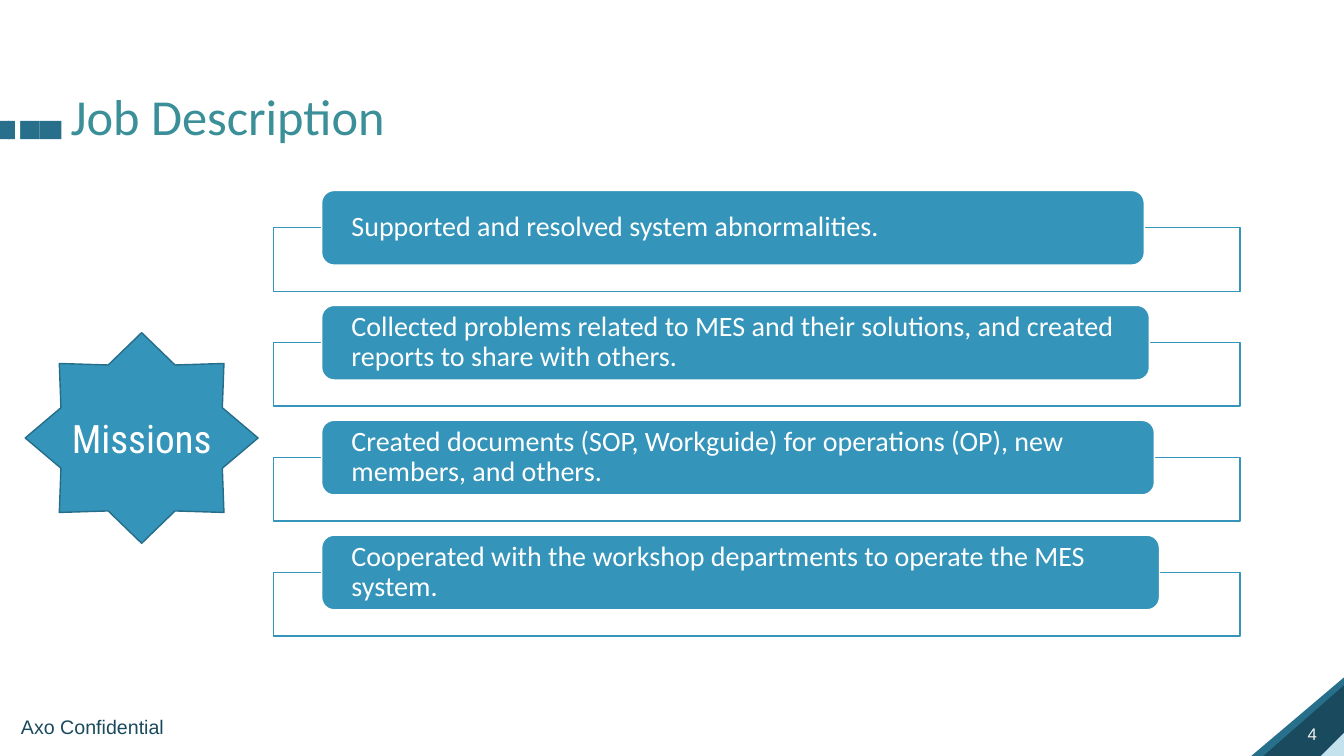
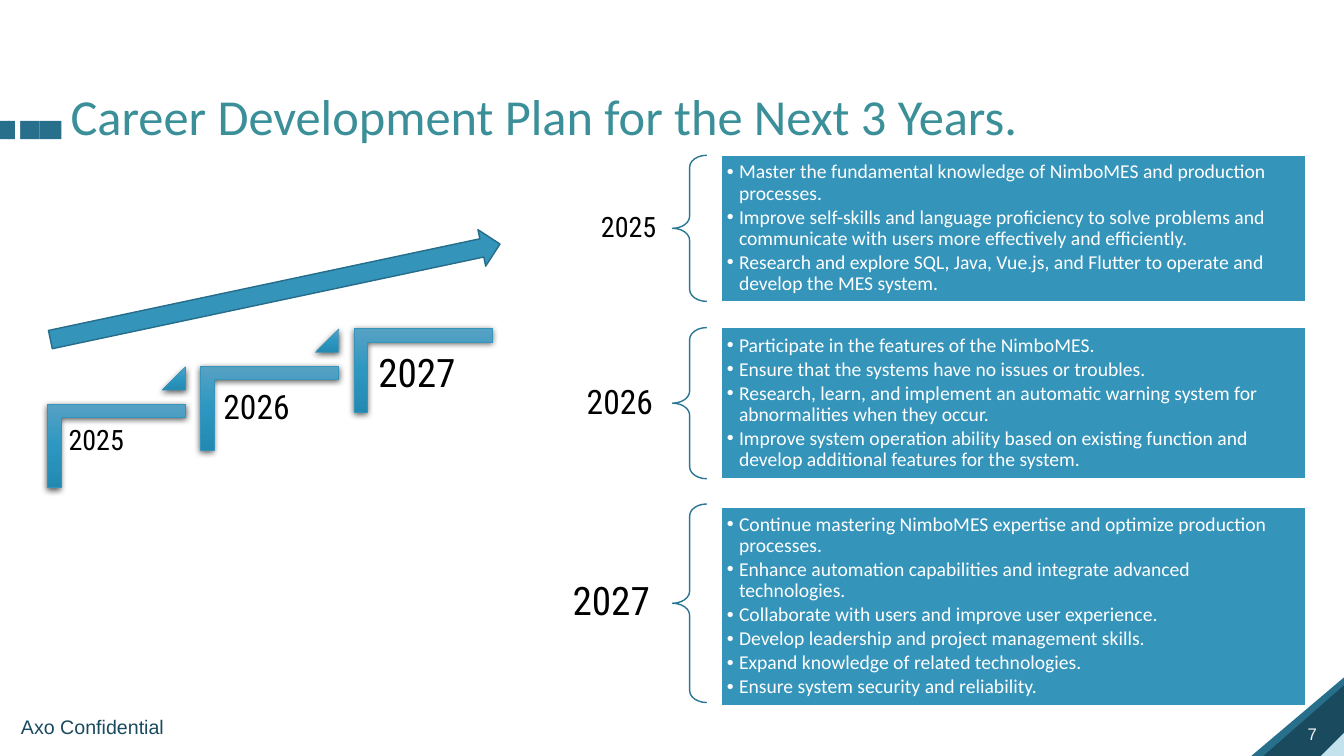
from dataclasses import dataclass

from lxml.etree import SubElement
from pptx import Presentation
from pptx.dml.color import RGBColor
from pptx.enum.shapes import MSO_SHAPE
from pptx.enum.text import MSO_ANCHOR, MSO_AUTO_SIZE, PP_ALIGN
from pptx.oxml.ns import qn
from pptx.util import Inches, Pt


@dataclass(frozen=True)
class Theme:
    title: str = "3A8F98"
    accent: str = "3494BA"
    outline: str = "266D8A"
    brace: str = "2A7795"
    band: str = "276F8B"
    dark: str = "1A4A5D"
    pale: str = "C4E2EE"
    white: str = "FFFFFF"
    black: str = "000000"
    number: str = "F2F2F2"
    gradient: tuple = ((0, "56A1C4"), (50, "2D97C1"), (100, "2289B1"))
    body_font: str = "Calibri"
    label_font: str = "Roboto Condensed"
    footer_font: str = "Arial"
    title_size: int = 36
    mission_size: int = 20
    star_size: int = 28
    bullet_size: int = 14
    footer_size: int = 14
    number_size: int = 12
    year_sizes: tuple = (20, 24, 28)


T = Theme()

MISSIONS = (
    "Supported and resolved system abnormalities.",
    "Collected problems related to MES and their solutions, and created reports to share with others.",
    "Created documents (SOP, Workguide) for operations (OP), new members, and others.",
    "Cooperated with the workshop departments to operate the MES system.",
)

PLAN = (
    ("2025", 1.54, 1.54, 1.45, (
        "Master the fundamental knowledge of NimboMES and production processes.",
        "Improve self-skills and language proficiency to solve problems and communicate with users more effectively and efficiently.",
        "Research and explore SQL, Java, Vue.js, and Flutter to operate and develop the MES system.",
    )),
    ("2026", 3.25, 3.25, 1.5, (
        "Participate in the features of the NimboMES.",
        "Ensure that the systems have no issues or troubles.",
        "Research, learn, and implement an automatic warning system for abnormalities when they occur.",
        "Improve system operation ability based on existing function and develop additional features for the system.",
    )),
    ("2027", 5.0, 5.03, 1.97, (
        "Continue mastering NimboMES expertise and optimize production processes.",
        "Enhance automation capabilities and integrate advanced technologies.",
        "Collaborate with users and improve user experience.",
        "Develop leadership and project management skills.",
        "Expand knowledge of related technologies.",
        "Ensure system security and reliability.",
    )),
)


def apply(obj, **values):
    for name, value in values.items():
        setattr(obj, name, value)


def add_shape(s, kind, box, fill=None, line=None, width=1, rotation=0, adj=()):
    sp = s.shapes.add_shape(kind, *map(Inches, box))
    sp.shadow.inherit = False
    sp.rotation = rotation
    for i, value in enumerate(adj):
        sp.adjustments[i] = value
    if fill:
        sp.fill.solid()
        sp.fill.fore_color.rgb = RGBColor.from_string(fill)
    else:
        sp.fill.background()
    if line:
        sp.line.color.rgb = RGBColor.from_string(line)
        sp.line.width = Pt(width)
    else:
        sp.line.fill.background()
    return sp


def set_text(sp, lines, size, font, color, align=PP_ALIGN.LEFT, anchor=MSO_ANCHOR.TOP,
             insets=(0.1, 0.05), spacing=0.9, bullets=False, wrap=True):
    tf = sp.text_frame
    side, end = map(Inches, insets)
    apply(tf, word_wrap=wrap, auto_size=MSO_AUTO_SIZE.NONE, vertical_anchor=anchor,
          margin_left=side, margin_right=side, margin_top=end, margin_bottom=end)
    for i, line in enumerate(lines):
        p = tf.add_paragraph() if i else tf.paragraphs[0]
        apply(p, alignment=align, line_spacing=spacing)
        if bullets:
            add_bullet(p)
        r = p.add_run()
        r.text = line
        apply(r.font, size=Pt(size), name=font)
        r.font.color.rgb = RGBColor.from_string(color)


def add_bullet(p):
    p.space_after = Pt(2)
    props = p._p.get_or_add_pPr()
    props.set("marL", str(Inches(0.12)))
    props.set("indent", str(-Inches(0.12)))
    SubElement(props, qn("a:buFont"), typeface=T.footer_font)
    SubElement(props, qn("a:buChar"), char="•")


def add_label(s, text, box, size, font, color, **values):
    sp = s.shapes.add_textbox(*map(Inches, box))
    set_text(sp, [text], size, font, color, **values)


def add_glossy(s, kind, box, rotation=0, adj=()):
    sp = add_shape(s, kind, box, T.accent, T.accent, 0.5, rotation, adj)
    props = sp._element.spPr
    solid = props.find(qn("a:solidFill"))
    grad = SubElement(props, qn("a:gradFill"), rotWithShape="0")
    props.replace(solid, grad)
    stops = SubElement(grad, qn("a:gsLst"))
    for position, color in T.gradient:
        stop = SubElement(stops, qn("a:gs"), pos=str(position * 1000))
        SubElement(stop, qn("a:srgbClr"), val=color)
    SubElement(grad, qn("a:lin"), ang="5400000", scaled="0")
    shadow = SubElement(props.find(qn("a:effectLst")), qn("a:outerShdw"),
                        blurRad=str(Pt(4.5)), dist=str(Pt(1.5)), dir="5400000", rotWithShape="0")
    color = SubElement(shadow, qn("a:srgbClr"), val=T.black)
    SubElement(color, qn("a:alpha"), val="63000")


def add_slide(prs, title, title_width, number):
    s = prs.slides.add_slide(prs.slide_layouts[5])
    for box, color in (((12.48, 6.65, 0.78, 0.92), T.band),
                       ((12.58, 6.74, 0.71, 0.81), T.dark),
                       ((13.1, 7.27, 0.23, 0.23), T.pale)):
        add_shape(s, MSO_SHAPE.RIGHT_TRIANGLE, box, color, rotation=270)
    add_label(s, number, (12.87, 7.13, 0.44, 0.3), T.number_size, T.footer_font,
              T.number, spacing=1.0)
    for left, width in ((0, 0.09), (0.08, 0.22), (0.3, 0.09), (0.39, 0.22)):
        add_shape(s, MSO_SHAPE.RECTANGLE, (left, 1.2, width, 0.18), T.band)
    add_shape(s, MSO_SHAPE.RECTANGLE, (0.15, 1.08, 0.05, 0.51), T.white)
    add_label(s, "Axo Confidential", (0.11, 7.04, 1.5, 0.34), T.footer_size,
              T.footer_font, T.dark, spacing=1.0, wrap=False)
    sp = s.shapes.title
    apply(sp, left=Inches(0.6), top=Inches(0.88), width=Inches(title_width), height=Inches(0.6))
    set_text(sp, [title], T.title_size, T.body_font, T.title, anchor=MSO_ANCHOR.MIDDLE)
    return s


def add_mission(s, index, text):
    top = 1.89 + 1.14 * index
    add_shape(s, MSO_SHAPE.RECTANGLE, (2.71, top + 0.37, 9.59, 0.63), T.white, T.accent)
    sp = add_shape(s, MSO_SHAPE.ROUNDED_RECTANGLE, (3.19, top, 8.16 + 0.05 * index, 0.74),
                   T.accent, T.white)
    set_text(sp, [text], T.mission_size, T.body_font, T.white,
             anchor=MSO_ANCHOR.MIDDLE, insets=(0.26, 0))


def add_step(s, index, year, size, last):
    dx, dy = 1.52 * index, 0.375 * index
    add_glossy(s, MSO_SHAPE.CORNER, (0.74 + dx, 3.74 - dy, 0.83, 1.37), 90, (0.161, 0.161))
    add_label(s, year, (0.6 + dx, 4.15 - dy, 1.24, 1.09), size, T.label_font, T.black,
              insets=(0.004 * size, 0.004 * size))
    if not last:
        add_glossy(s, MSO_SHAPE.ISOSCELES_TRIANGLE, (1.61 + dx, 3.64 - dy, 0.23, 0.23), adj=(1,))


def add_goals(s, year, size, top, panel_top, height, goals):
    add_label(s, year, (4.97, top, 1.7, height), size, T.label_font, T.black,
              align=PP_ALIGN.RIGHT, anchor=MSO_ANCHOR.MIDDLE, insets=(0.008 * size, 0.06))
    add_shape(s, MSO_SHAPE.LEFT_BRACE, (6.67, top, 0.34, height), line=T.brace, adj=(0.35, 0.5))
    sp = add_shape(s, MSO_SHAPE.RECTANGLE, (7.15, panel_top, 5.8, height), T.accent, T.white)
    set_text(sp, goals, T.bullet_size, T.body_font, T.white, anchor=MSO_ANCHOR.MIDDLE,
             insets=(0.06, 0.06), bullets=True)


def build_job(prs):
    s = add_slide(prs, "Job Description", 3.78, "4")
    for i, text in enumerate(MISSIONS):
        add_mission(s, i, text)
    sp = add_shape(s, MSO_SHAPE.STAR_8_POINT, (0.25, 3.3, 2.31, 2.09), T.accent, T.outline)
    set_text(sp, ["Missions"], T.star_size, T.label_font, T.white, align=PP_ALIGN.CENTER,
             anchor=MSO_ANCHOR.MIDDLE, spacing=1.0)


def build_career(prs):
    s = add_slide(prs, "Career Development Plan for the Next 3 Years.", 10.7, "7")
    for i, (year, top, panel_top, height, goals) in enumerate(PLAN):
        size = T.year_sizes[i]
        add_step(s, i, year, size, i == len(PLAN) - 1)
        add_goals(s, year, size, top, panel_top, height, goals)
    add_shape(s, MSO_SHAPE.RIGHT_ARROW, (0.45, 2.71, 4.56, 0.37), T.accent, T.outline,
              rotation=348)


def main():
    prs = Presentation()
    apply(prs, slide_width=Inches(13.33), slide_height=Inches(7.5))
    build_job(prs)
    build_career(prs)
    prs.save("out.pptx")


if __name__ == "__main__":
    main()
